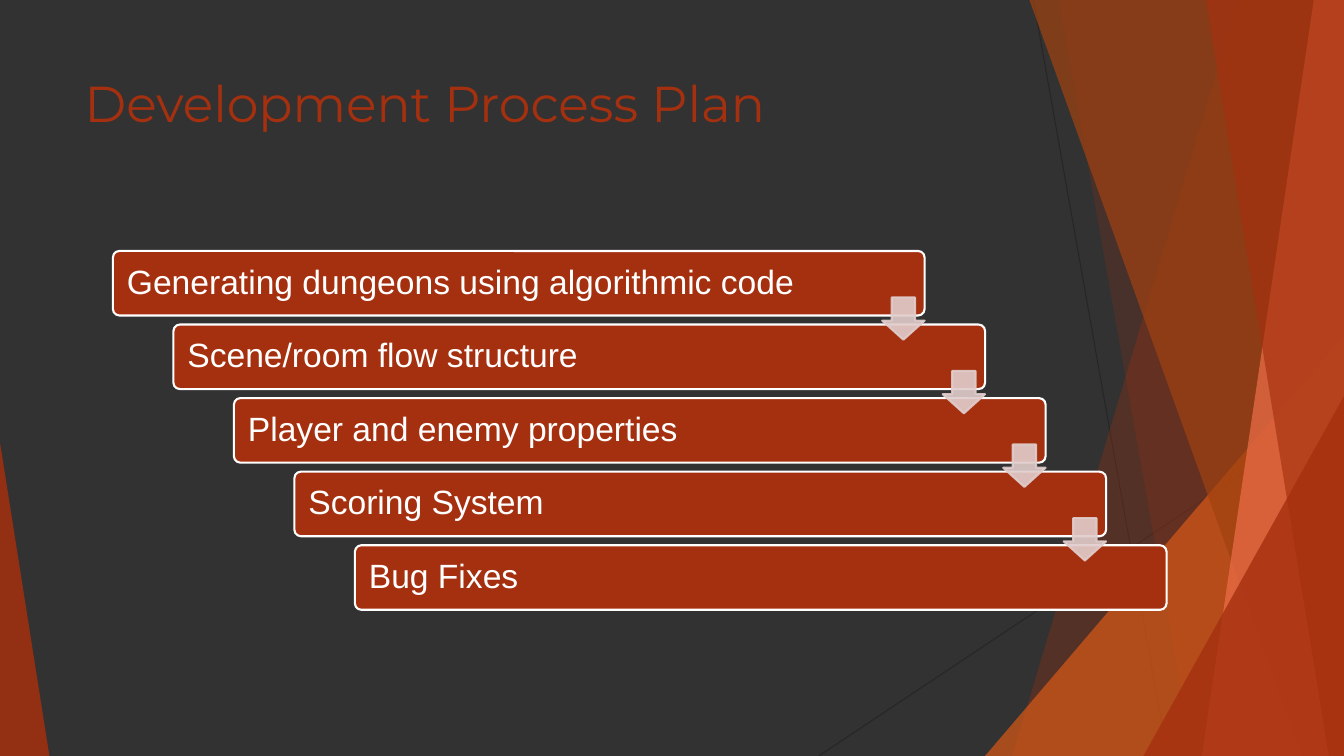
from dataclasses import dataclass

from lxml.etree import SubElement
from pptx import Presentation
from pptx.dml.color import RGBColor
from pptx.dml.fill import FillFormat
from pptx.enum.shapes import MSO_CONNECTOR, MSO_SHAPE
from pptx.enum.text import MSO_ANCHOR, PP_ALIGN
from pptx.oxml.ns import qn
from pptx.shapes.autoshape import Shape
from pptx.slide import Slide
from pptx.text.text import TextFrame
from pptx.util import Pt

PX = 9144
WIDTH, HEIGHT = 1333, 750
COLORS = {
    "background": "323232",
    "hairline": "262626",
    "rust": "A5300F",
    "orange": "D55816",
    "brown": "A04210",
    "coral": "EE6E4A",
    "arrow": "E1CDCC",
    "white": "FFFFFF",
}
STEPS = [
    "Generating dungeons using algorithmic code",
    "Scene/room flow structure",
    "Player and enemy properties",
    "Scoring System",
    "Bug Fixes",
]
STEP_DX, STEP_DY = 60, 73


@dataclass
class Box:
    left: int
    top: int
    width: int
    height: int

    def emu(self) -> tuple[int, int, int, int]:
        return self.left * PX, self.top * PX, self.width * PX, self.height * PX


@dataclass
class Band:
    top_x: int
    bottom_x: int
    color: str
    opacity: int


@dataclass
class Wedge:
    box: Box
    apex: float
    color: str
    opacity: int


HAIRLINES = [(1025, 0, 1158, 750), (1333, 403, 812, 750)]
FACETS = [
    Band(1228, 1004, "rust", 30),
    Band(1050, 1183, "rust", 20),
    Wedge(Box(977, 333, 356, 417), 1, "orange", 72),
    Band(1021, 1291, "brown", 70),
    Band(1303, 1192, "coral", 70),
    Band(1196, 1318, "rust", 65),
    Wedge(Box(1134, 393, 199, 357), 1, "rust", 80),
    Wedge(Box(0, 439, 49, 311), 0, "rust", 85),
]


def rgb(name: str) -> RGBColor:
    return RGBColor.from_string(COLORS[name])


def paint(fill: FillFormat, color: str) -> None:
    fill.solid()
    fill.fore_color.rgb = rgb(color)


def set_opacity(s: Shape, percent: int) -> None:
    for clr in s._element.spPr.iter(qn("a:srgbClr")):
        SubElement(clr, qn("a:alpha"), val=str(percent * 1000))


def format_text(tf: TextFrame, font: str, size: int, color: str) -> None:
    tf.word_wrap = True
    p = tf.paragraphs[0]
    p.alignment = PP_ALIGN.LEFT
    r = p.runs[0]
    r.font.name = font
    r.font.size = Pt(size)
    r.font.color.rgb = rgb(color)


def add_hairline(slide: Slide, x1: int, y1: int, x2: int, y2: int) -> None:
    s = slide.shapes.add_connector(
        MSO_CONNECTOR.STRAIGHT, x1 * PX, y1 * PX, x2 * PX, y2 * PX
    )
    s.line.color.rgb = rgb("hairline")
    s.line.width = Pt(0.75)
    SubElement(s._element.spPr, qn("a:effectLst"))


def add_facet(slide: Slide, facet: Band | Wedge) -> None:
    if isinstance(facet, Band):
        builder = slide.shapes.build_freeform(facet.top_x, 0, scale=PX)
        builder.add_line_segments(
            [(WIDTH, 0), (WIDTH, HEIGHT), (facet.bottom_x, HEIGHT)]
        )
        s = builder.convert_to_shape()
    else:
        s = slide.shapes.add_shape(MSO_SHAPE.ISOSCELES_TRIANGLE, *facet.box.emu())
        s.adjustments[0] = facet.apex
    s.shadow.inherit = False
    paint(s.fill, facet.color)
    s.line.fill.background()
    set_opacity(s, facet.opacity)


def add_bar(slide: Slide, index: int, text: str) -> None:
    box = Box(112 + index * STEP_DX, 249 + index * STEP_DY, 805, 64)
    s = slide.shapes.add_shape(MSO_SHAPE.ROUNDED_RECTANGLE, *box.emu())
    s.adjustments[0] = 0.1
    s.shadow.inherit = False
    paint(s.fill, "rust")
    s.line.color.rgb = rgb("white")
    s.line.width = Pt(1.5)
    tf = s.text_frame
    tf.text = text
    tf.margin_left = 12 * PX
    tf.vertical_anchor = MSO_ANCHOR.MIDDLE
    tf.paragraphs[0].line_spacing = 0.9
    format_text(tf, "Arial", 24, "white")


def add_arrow(slide: Slide, index: int) -> None:
    box = Box(875 + index * STEP_DX, 295 + index * STEP_DY, 42, 42)
    s = slide.shapes.add_shape(MSO_SHAPE.DOWN_ARROW, *box.emu())
    s.adjustments[0] = 0.55
    s.adjustments[1] = 0.45
    s.shadow.inherit = False
    paint(s.fill, "arrow")
    s.line.color.rgb = rgb("arrow")
    s.line.width = Pt(1.5)
    set_opacity(s, 90)


def add_title(slide: Slide, text: str) -> None:
    s = slide.shapes.title
    s.left, s.top, s.width, s.height = Box(74, 67, 940, 144).emu()
    tf = s.text_frame
    tf.text = text
    tf.vertical_anchor = MSO_ANCHOR.TOP
    format_text(tf, "Montserrat", 36, "rust")


def main() -> None:
    prs = Presentation()
    prs.slide_width, prs.slide_height = WIDTH * PX, HEIGHT * PX
    slide = prs.slides.add_slide(prs.slide_layouts[5])
    paint(slide.background.fill, "background")
    for ends in HAIRLINES:
        add_hairline(slide, *ends)
    for facet in FACETS:
        add_facet(slide, facet)
    add_title(slide, "Development Process Plan")
    for i, step in enumerate(STEPS):
        add_bar(slide, i, step)
    for i in range(len(STEPS) - 1):
        add_arrow(slide, i)
    prs.save("out.pptx")


if __name__ == "__main__":
    main()
